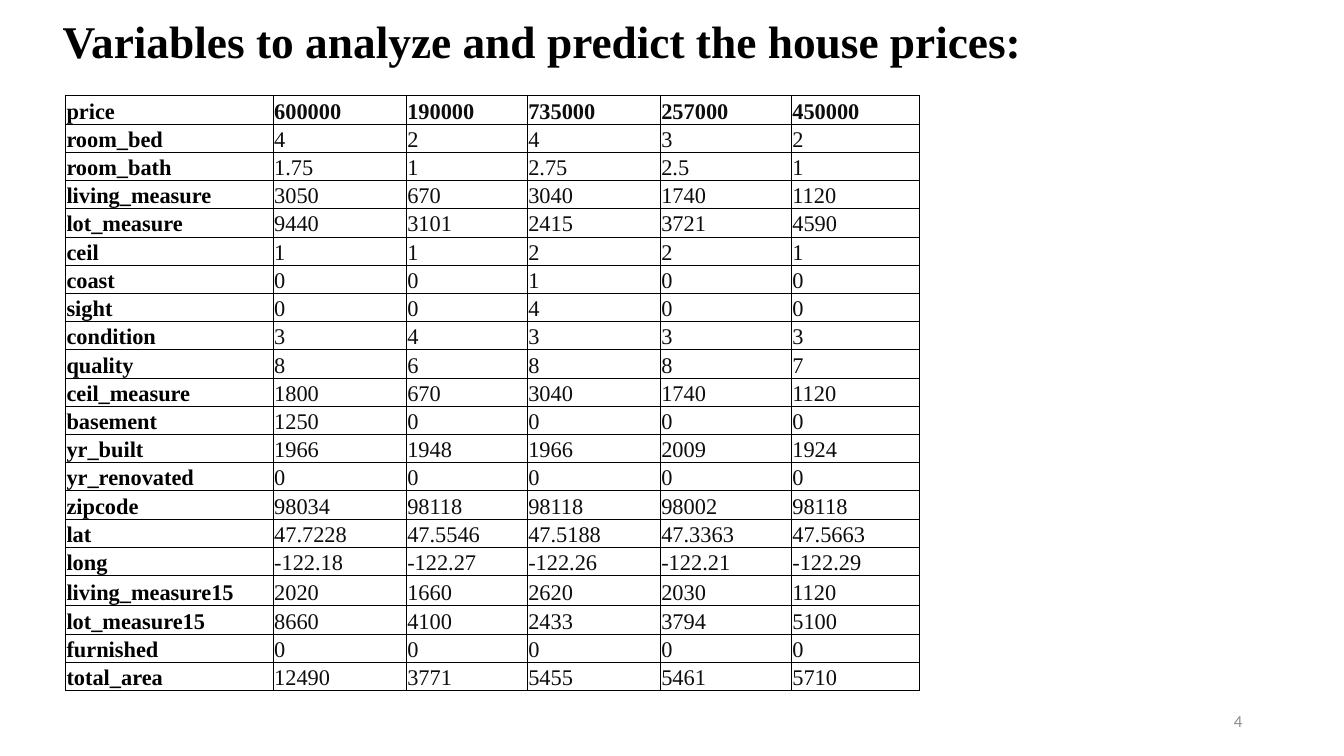
from dataclasses import dataclass

from lxml import etree
from pptx import Presentation
from pptx.dml.color import RGBColor
from pptx.enum.text import MSO_ANCHOR, PP_ALIGN
from pptx.oxml.ns import qn
from pptx.table import _Cell
from pptx.text.text import TextFrame
from pptx.util import Inches, Pt

LEFT, RIGHT = PP_ALIGN.LEFT, PP_ALIGN.RIGHT
MIDDLE, BOTTOM = MSO_ANCHOR.MIDDLE, MSO_ANCHOR.BOTTOM

BLACK, NEAR_BLACK, WHITE, GREY = "000000", "0D0D0D", "FFFFFF", "8C8C8C"
SERIF, SANS = "Times New Roman", "Calibri"
COLUMN_WIDTHS = (2.06, 1.32, 1.2, 1.32, 1.3, 1.27)
ROW_HEIGHT, TALL_ROW_HEIGHT = 0.28, 0.3
TALL_VARIABLE = "living_measure15"


@dataclass(frozen=True)
class TextStyle:
    size: float
    color: str
    font: str = SERIF
    bold: bool = False


@dataclass(frozen=True)
class Variable:
    name: str
    values: tuple[str, ...]


TITLE_STYLE = TextStyle(32.4, BLACK, bold=True)
NAME_STYLE = TextStyle(16, BLACK, bold=True)
PRICE_STYLE = TextStyle(16, NEAR_BLACK, bold=True)
VALUE_STYLE = TextStyle(16, NEAR_BLACK)
NUMBER_STYLE = TextStyle(12, GREY, font=SANS)

VARIABLES = (
    Variable("price", ("600000", "190000", "735000", "257000", "450000")),
    Variable("room_bed", ("4", "2", "4", "3", "2")),
    Variable("room_bath", ("1.75", "1", "2.75", "2.5", "1")),
    Variable("living_measure", ("3050", "670", "3040", "1740", "1120")),
    Variable("lot_measure", ("9440", "3101", "2415", "3721", "4590")),
    Variable("ceil", ("1", "1", "2", "2", "1")),
    Variable("coast", ("0", "0", "1", "0", "0")),
    Variable("sight", ("0", "0", "4", "0", "0")),
    Variable("condition", ("3", "4", "3", "3", "3")),
    Variable("quality", ("8", "6", "8", "8", "7")),
    Variable("ceil_measure", ("1800", "670", "3040", "1740", "1120")),
    Variable("basement", ("1250", "0", "0", "0", "0")),
    Variable("yr_built", ("1966", "1948", "1966", "2009", "1924")),
    Variable("yr_renovated", ("0", "0", "0", "0", "0")),
    Variable("zipcode", ("98034", "98118", "98118", "98002", "98118")),
    Variable("lat", ("47.7228", "47.5546", "47.5188", "47.3363", "47.5663")),
    Variable("long", ("-122.18", "-122.27", "-122.26", "-122.21", "-122.29")),
    Variable("living_measure15", ("2020", "1660", "2620", "2030", "1120")),
    Variable("lot_measure15", ("8660", "4100", "2433", "3794", "5100")),
    Variable("furnished", ("0", "0", "0", "0", "0")),
    Variable("total_area", ("12490", "3771", "5455", "5461", "5710")),
)


def rgb(color: str) -> RGBColor:
    return RGBColor.from_string(color)


def write(text_frame: TextFrame, text: str, style: TextStyle, alignment=LEFT) -> None:
    text_frame.text = text
    paragraph = text_frame.paragraphs[0]
    paragraph.alignment = alignment
    font = paragraph.runs[0].font
    font.name, font.size, font.bold = style.font, Pt(style.size), style.bold
    font.color.rgb = rgb(style.color)


def add_borders(cell: _Cell, color: str, width: float) -> None:
    properties = cell._tc.get_or_add_tcPr()
    for position, side in enumerate(("a:lnL", "a:lnR", "a:lnT", "a:lnB")):
        line = etree.Element(qn(side), w=str(Pt(width)))
        fill = etree.SubElement(line, qn("a:solidFill"))
        etree.SubElement(fill, qn("a:srgbClr"), val=color)
        properties.insert(position, line)


def fill_cell(cell: _Cell, text: str, style: TextStyle, filled: bool) -> None:
    write(cell.text_frame, text, style)
    cell.vertical_anchor = BOTTOM
    cell.margin_left = cell.margin_right = cell.margin_top = Inches(0.01)
    cell.margin_bottom = 0
    if filled:
        cell.fill.solid()
        cell.fill.fore_color.rgb = rgb(WHITE)
    else:
        cell.fill.background()
    add_borders(cell, BLACK, 0.5)


def add_title(slide) -> None:
    title = slide.shapes.title
    title.left, title.top = Inches(0.52), Inches(0.15)
    title.width, title.height = Inches(11.9), Inches(0.71)
    text_frame = title.text_frame
    write(text_frame, "Variables to analyze and predict the house prices:", TITLE_STYLE)
    text_frame.vertical_anchor = MIDDLE
    text_frame.margin_bottom = Inches(0.2)
    text_frame.paragraphs[0].line_spacing = 0.9


def add_variable_table(slide) -> None:
    table = slide.shapes.add_table(
        len(VARIABLES), len(COLUMN_WIDTHS),
        Inches(0.65), Inches(0.95), Inches(8.46), Inches(5.87),
    ).table
    table.horz_banding = False
    for column, width in zip(table.columns, COLUMN_WIDTHS):
        column.width = Inches(width)
    for row, variable in zip(table.rows, VARIABLES):
        tall = variable.name == TALL_VARIABLE
        row.height = Inches(TALL_ROW_HEIGHT if tall else ROW_HEIGHT)
        value_style = PRICE_STYLE if variable.name == "price" else VALUE_STYLE
        name_cell, *value_cells = row.cells
        fill_cell(name_cell, variable.name, NAME_STYLE, filled=False)
        for cell, value in zip(value_cells, variable.values):
            fill_cell(cell, value, value_style, filled=True)


def add_slide_number(slide) -> None:
    box = slide.shapes.add_textbox(Inches(9.42), Inches(6.95), Inches(3), Inches(0.4))
    box.text_frame.word_wrap = True
    box.text_frame.vertical_anchor = MIDDLE
    write(box.text_frame, "4", NUMBER_STYLE, RIGHT)


def main() -> None:
    presentation = Presentation()
    presentation.slide_width = Inches(13.33)
    presentation.slide_height = Inches(7.5)
    # Title-only layout
    slide = presentation.slides.add_slide(presentation.slide_layouts[5])
    add_title(slide)
    add_variable_table(slide)
    add_slide_number(slide)
    presentation.save("out.pptx")


if __name__ == "__main__":
    main()
